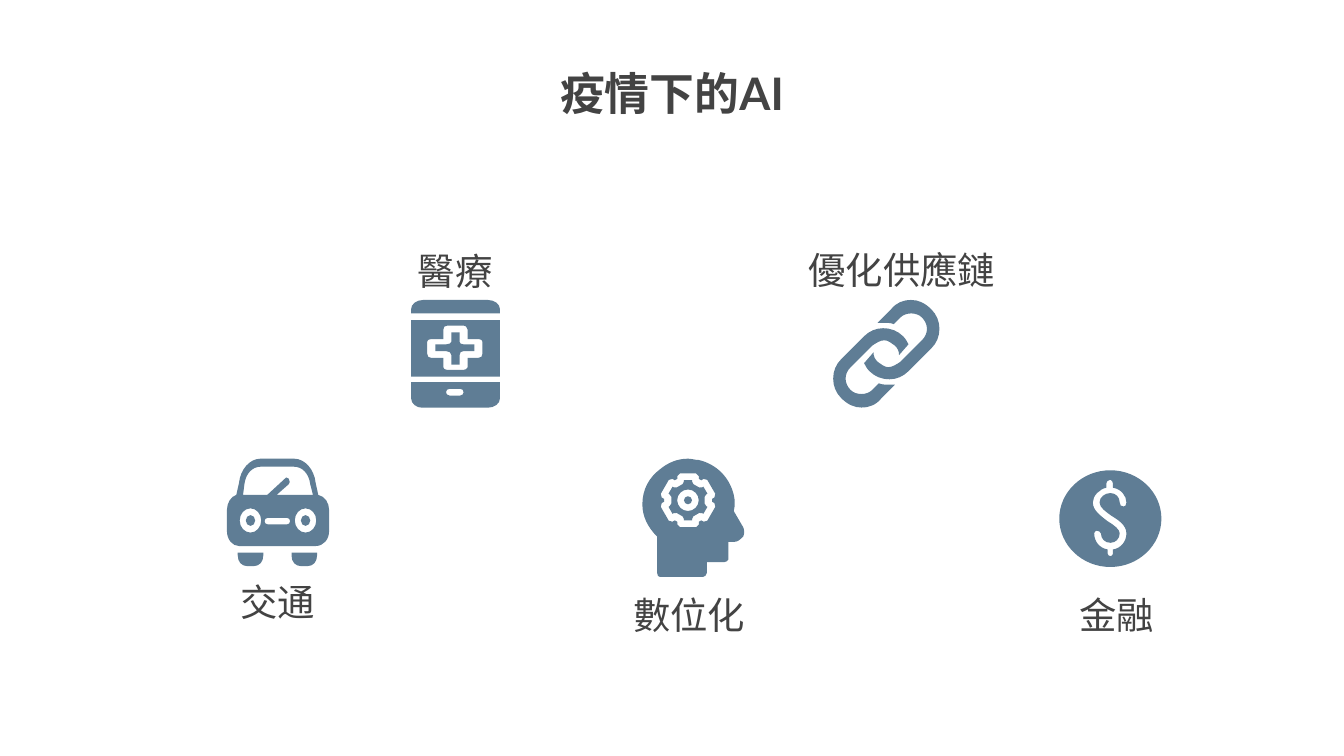
from collections import namedtuple
from math import cos, pi, sin

from lxml.etree import SubElement
from pptx import Presentation
from pptx.dml.color import RGBColor
from pptx.enum.text import MSO_ANCHOR, MSO_AUTO_SIZE, PP_ALIGN
from pptx.oxml.ns import qn
from pptx.util import Cm, Pt

STEEL_BLUE = RGBColor(0x5F, 0x7D, 0x95)
DARK_GREY = RGBColor(0x43, 0x43, 0x43)
TITLE_FONT = "Lato"
LABEL_FONT = "Roboto Condensed"
SEGMENT_TAGS = {"M": "a:moveTo", "L": "a:lnTo", "C": "a:cubicBezTo"}

Box = namedtuple("Box", "left top width height")


def cm_box(left, top, width, height):
    return Box(Cm(left), Cm(top), Cm(width), Cm(height))


def trace(commands):
    contour = []
    for part in commands.replace("L", "|L").replace("C", "|C").split("|"):
        numbers = [float(word) for word in part.strip("MLC ").split()]
        contour.append((part[0], list(zip(numbers[::2], numbers[1::2]))))
    return contour


def transform(contour, x_scale, x_offset, y_scale, y_offset):
    return [(kind, [(x * x_scale + x_offset, y * y_scale + y_offset) for x, y in points])
            for kind, points in contour]


def ellipse(x, y, radius_x, radius_y):
    circle = trace("M 0 -1 C 0.55 -1 1 -0.55 1 0 C 1 0.55 0.55 1 0 1 "
                   "C -0.55 1 -1 0.55 -1 0 C -1 -0.55 -0.55 -1 0 -1")
    return transform(circle, radius_x, x, radius_y, y)


def capsule(x, y, width, height):
    radius = height / 2
    left, right, bottom = x + radius, x + width - radius, y + height
    bulge = radius * 4 / 3
    return [("M", [(left, y)]), ("L", [(right, y)]),
            ("C", [(right + bulge, y), (right + bulge, bottom), (right, bottom)]),
            ("L", [(left, bottom)]),
            ("C", [(left - bulge, bottom), (left - bulge, y), (left, y)])]


def gear(x, y, tooth, teeth=6):
    contour = []
    for index in range(teeth):
        angle = 2 * pi * index / teeth
        for u, v in tooth:
            point = (x + u * cos(angle) - v * sin(angle), y + u * sin(angle) + v * cos(angle))
            contour.append(("L" if contour else "M", [point]))
    return contour


def shift(contour, offset):
    return transform(contour, 1, offset, 1, 0)


def add_outline(slide, contours):
    builder = None
    for contour in contours:
        anchors = [points[-1] for kind, points in contour]
        if builder is None:
            builder = slide.shapes.build_freeform(*anchors[0], scale=1.0)
        else:
            builder.move_to(*anchors[0])
        builder.add_line_segments(anchors[1:], close=True)
    shape = builder.convert_to_shape()

    outline = next(shape._element.iter(qn("a:path")))
    for child in list(outline):
        outline.remove(child)
    for contour in contours:
        for kind, points in contour:
            segment = SubElement(outline, qn(SEGMENT_TAGS[kind]))
            for x, y in points:
                SubElement(segment, qn("a:pt"), x=str(round(x - shape.left)),
                           y=str(round(y - shape.top)))
        SubElement(outline, qn("a:close"))
    return shape


def add_icon(slide, box, grid_width, parts):
    unit = box.width / grid_width
    for contours in parts:
        shape = add_outline(slide, [transform(contour, unit, box.left, unit, box.top)
                                    for contour in contours])
        shape.shadow.inherit = False
        shape.fill.solid()
        shape.fill.fore_color.rgb = STEEL_BLUE
        shape.line.fill.background()


def add_car(slide, box):
    body = trace("M 25 0 C 17 0 10 8 9 18 L 7 27 C 3 28 0 33 0 38 L 0 54 C 0 60 4 65 9 65 "
                 "L 66 65 C 72 65 76 60 76 54 L 76 38 C 76 33 73 28 68 27 L 66 18 "
                 "C 65 8 58 0 50 0")
    window = trace("M 50 6 C 56 6 61 11 62 19 L 64 27 L 37 27 L 46 19 C 47 18 47 17 46 15 "
                   "C 46 15 45 14 44 14 C 44 14 43 15 43 15 L 30 27 L 12 27 L 13 19 "
                   "C 14 11 19 6 25 6")
    wheel = trace("M 8 70 L 8 72 C 8 77 11 80 15 80 L 20 80 C 24 80 27 77 27 72 L 27 70")
    headlight = ellipse(17.5, 46, 8, 9)
    bulb = ellipse(17.5, 46, 3.5, 4)
    add_icon(slide, box, 76, [
        [body, window, capsule(28, 44, 19, 5), headlight, shift(headlight, 41)],
        [bulb], [shift(bulb, 41)], [wheel], [shift(wheel, 40)]])


def add_phone(slide, box):
    top = trace("M 9 0 C 4 0 0 3 0 7 L 0 10 L 66 10 L 66 7 C 66 3 62 0 57 0")
    screen = trace("M 0 15 L 0 57 L 66 57 L 66 15")
    cross_edge = trace("M 39 19 C 40 19 42 20 42 22 L 42 29 L 50 29 C 52 29 53 30 53 31 "
                       "L 53 40 C 53 42 52 43 50 43 L 42 43 L 42 50 C 42 51 40 52 39 52 "
                       "L 27 52 C 25 52 24 51 24 50 L 24 43 L 15 43 C 13 43 12 42 12 40 "
                       "L 12 31 C 12 30 13 29 15 29 L 24 29 L 24 22 C 24 20 25 19 27 19")
    cross = trace("M 30 24 L 30 31 C 30 32 28 33 26 33 L 18 33 L 18 38 L 26 38 "
                  "C 28 38 30 39 30 41 L 30 48 L 36 48 L 36 41 C 36 39 37 38 39 38 "
                  "L 47 38 L 47 33 L 39 33 C 37 33 36 32 36 31 L 36 24")
    bottom = trace("M 0 61 L 0 73 C 0 77 4 80 8 80 L 57 80 C 62 80 66 77 66 73 L 66 61")
    add_icon(slide, box, 66, [
        [top], [cross], [bottom, capsule(26, 66, 13, 5)], [screen, cross_edge]])


def add_head(slide, box):
    head = trace("M 34 0 C 26 0 19 3 13 8 C 5 14 0 23 0 34 C 0 43 4 51 11 58 L 11 85 "
                 "C 11 87 12 88 13 88 L 45 88 C 46 88 48 87 48 85 L 48 77 L 61 77 "
                 "C 62 77 64 76 64 75 L 64 62 L 68 62 C 71 62 73 60 75 58 "
                 "C 76 56 76 53 75 51 L 68 39 C 69 35 69 31 68 27 "
                 "C 65 14 55 4 42 1 C 39 1 37 0 34 0")
    outer_tooth = [(-8, -16), (-8, -18), (-6, -20), (6, -20), (8, -18), (8, -16)]
    inner_tooth = [(-4, -12), (-3, -14), (-3, -15), (3, -15), (3, -14), (4, -12)]
    add_icon(slide, box, 76, [
        [head, gear(34, 31, outer_tooth)],
        [gear(34, 31, inner_tooth), ellipse(34, 31, 8, 8)],
        [ellipse(34, 31, 3, 3)]])


def add_coin(slide, box):
    dollar = trace("M 38 7 C 39 7 40 9 40 10 L 40 13 C 46 14 50 19 50 24 C 50 26 49 27 48 27 "
                   "C 46 27 45 26 45 24 C 45 20 42 17 38 17 C 34 17 30 20 30 24 "
                   "C 30 28 35 31 39 34 C 44 37 50 41 50 47 C 50 53 46 58 40 59 L 40 62 "
                   "C 40 63 39 64 38 64 C 37 64 36 63 36 62 L 36 59 C 30 58 26 53 26 47 "
                   "C 26 46 27 45 28 45 C 29 45 31 46 31 47 C 31 51 34 54 38 54 "
                   "C 42 54 45 51 45 47 C 45 44 41 41 36 38 C 31 34 25 30 25 24 "
                   "C 25 19 30 14 35 13 L 35 10 C 35 9 36 7 38 7")
    add_icon(slide, box, 76, [[ellipse(38, 36, 38, 36), dollar]])


def add_chain(slide, box):
    link = trace("M 61 0 C 55 0 50 2 46 7 L 36 17 C 37 17 39 17 40 17 C 43 17 46 17 48 18 "
                 "L 53 13 C 55 11 58 10 61 10 C 64 10 67 11 69 13 C 74 18 74 25 69 30 "
                 "L 53 46 C 50 48 47 50 44 50 C 41 50 39 48 36 46 C 34 44 33 42 33 39 "
                 "L 26 47 C 27 49 28 51 30 53 C 34 57 39 59 45 59 C 50 59 55 57 59 53 "
                 "L 76 36 C 80 32 82 27 82 21.5 C 82 16 80 11 76 7 C 71 2 66 0 61 0")
    add_icon(slide, box, 85, [[link], [transform(link, -1, 85, -1, 80)]])


def write_text(shape, text, font_name, size, bold):
    frame = shape.text_frame
    frame.word_wrap = True
    frame.auto_size = MSO_AUTO_SIZE.NONE
    frame.vertical_anchor = MSO_ANCHOR.TOP
    frame.margin_left = frame.margin_right = Cm(0.25)
    frame.margin_top = frame.margin_bottom = Cm(0.25)
    frame.text = text
    paragraph = frame.paragraphs[0]
    paragraph.alignment = PP_ALIGN.CENTER
    font = paragraph.font
    font.name, font.size, font.bold = font_name, Pt(size), bold
    font.color.rgb = DARK_GREY


def add_title(slide, box, text):
    title = slide.shapes.title
    title.left, title.top, title.width, title.height = box
    write_text(title, text, TITLE_FONT, 24, True)


def add_label(slide, box, text):
    write_text(slide.shapes.add_textbox(*box), text, LABEL_FONT, 20, False)


def main():
    presentation = Presentation()
    presentation.slide_width, presentation.slide_height = Cm(25.4), Cm(14.29)
    slide = presentation.slides.add_slide(presentation.slide_layouts[5])
    add_title(slide, cm_box(5.46, 0.99, 14.48, 2.62), "疫情下的AI")
    topics = [
        ("交通", cm_box(3.3, 10.69, 3.91, 1.68), add_car, cm_box(4.29, 8.67, 1.93, 2.03)),
        ("數位化", cm_box(11.07, 10.95, 3.91, 1.68), add_head, cm_box(12.14, 8.67, 1.93, 2.21)),
        ("金融", cm_box(19.15, 10.95, 3.91, 1.68), add_coin, cm_box(20.02, 8.89, 1.93, 1.83)),
        ("優化供應鏈", cm_box(14.71, 4.42, 4.67, 1.68), add_chain, cm_box(15.67, 5.67, 2.16, 2.03)),
        ("醫療", cm_box(6.65, 4.45, 3.91, 1.68), add_phone, cm_box(7.77, 5.67, 1.68, 2.03)),
    ]
    for text, label_box, draw_icon, icon_box in topics:
        add_label(slide, label_box, text)
        draw_icon(slide, icon_box)
    presentation.save("out.pptx")


if __name__ == "__main__":
    main()
